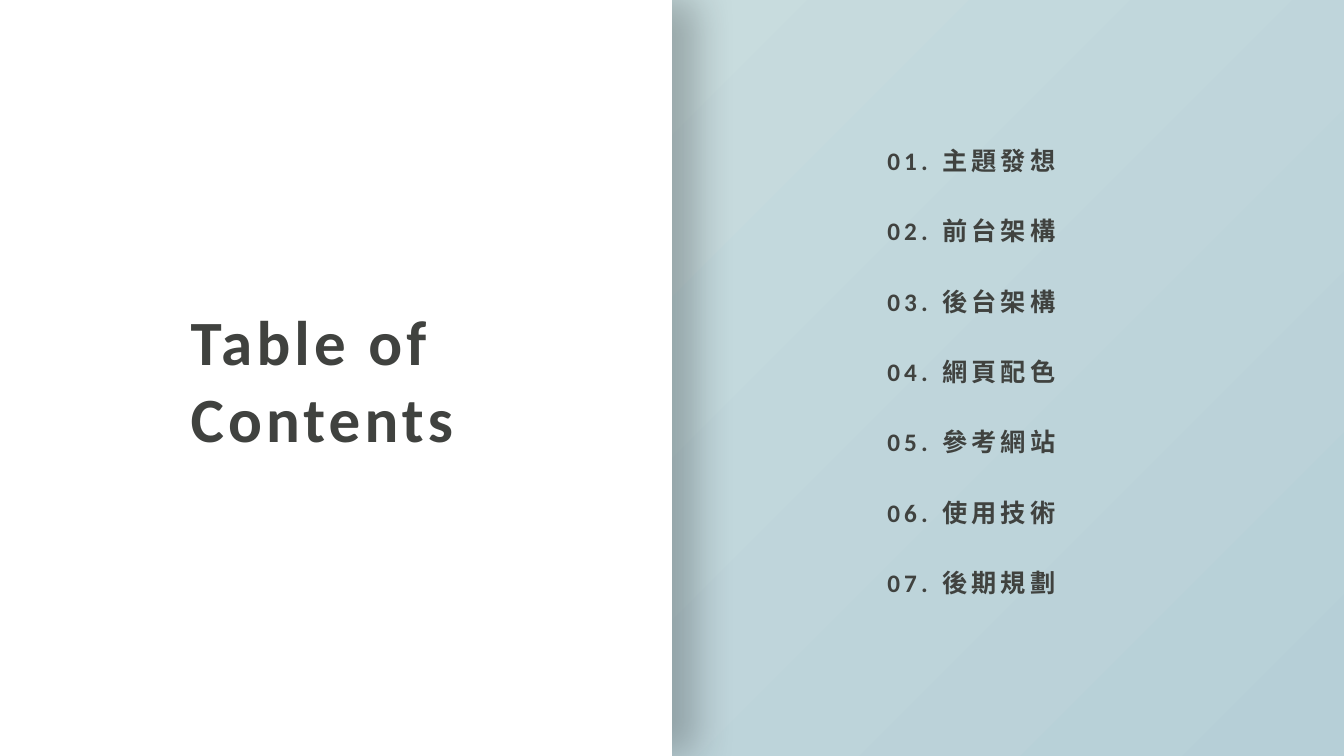
from dataclasses import dataclass

from lxml import etree
from pptx import Presentation, util as u
from pptx.dml import color as clr
from pptx.enum import shapes, text
from pptx.oxml import ns

COLORS = {
    "text": "40423F",
    "panel": "FFFFFF",
    "grad_start": "D1E2E2",
    "grad_end": "B6CFD7",
    "shadow": "000000",
}
FONT = "Calibri"
SLIDE_W, SLIDE_H = 13.33, 7.5
TOPICS = ["主題發想", "前台架構", "後台架構", "網頁配色", "參考網站", "使用技術", "後期規劃"]
TOPIC_PITCH = 50.3  # points from one topic line to the next


@dataclass(frozen=True)
class Box:
    left: float
    top: float
    width: float
    height: float


BACKDROP = Box(0, 0, SLIDE_W, SLIDE_H)
PANEL = Box(0, 0, SLIDE_W / 2, SLIDE_H)
TITLE = Box(1.79, 2.93, 3.67, 1.64)
LIST = Box(8.7, 1.04, 3.06, 4.9)


def rgb(name: str) -> clr.RGBColor:
    return clr.RGBColor.from_string(COLORS[name])


def place(sp, box: Box) -> None:
    sp.left, sp.top = u.Inches(box.left), u.Inches(box.top)
    sp.width, sp.height = u.Inches(box.width), u.Inches(box.height)


def add_rect(s, box: Box):
    sp = s.shapes.add_shape(shapes.MSO_SHAPE.RECTANGLE, 0, 0, 0, 0)
    place(sp, box)
    sp.shadow.inherit = False
    sp.line.fill.background()
    return sp


def add_shadow(sp, *, blur: float, distance: float, opacity: int) -> None:
    """Cast a soft shadow to the right; lengths in points, opacity in percent."""
    effects = sp._element.spPr.find(ns.qn("a:effectLst"))
    shadow = etree.SubElement(
        effects, ns.qn("a:outerShdw"), blurRad=str(u.Pt(blur)),
        dist=str(u.Pt(distance)), dir="0", algn="l", rotWithShape="0")
    tint = etree.SubElement(shadow, ns.qn("a:srgbClr"), val=COLORS["shadow"])
    etree.SubElement(tint, ns.qn("a:alpha"), val=str(opacity * 1000))


def fill_placeholder(sp, box: Box, lines: list[str], *, size: float, pitch: float,
                     anchor, inset_y: float) -> None:
    """Write one unbulleted paragraph per line, at a fixed line pitch in points."""
    place(sp, box)
    tf = sp.text_frame
    tf.text = "\n".join(lines)
    tf.word_wrap = True
    tf.auto_size = text.MSO_AUTO_SIZE.NONE
    tf.vertical_anchor = anchor
    tf.margin_top = tf.margin_bottom = u.Inches(inset_y)
    for p in tf.paragraphs:
        p.alignment = text.PP_ALIGN.LEFT
        p.line_spacing = u.Pt(pitch)
        p.space_before = u.Pt(0)
        pPr = p._p.get_or_add_pPr()
        pPr.set("marL", "0")
        pPr.set("indent", "0")
        etree.SubElement(pPr, ns.qn("a:buNone"))
        r = p.runs[0]
        r.font.name, r.font.size, r.font.bold = FONT, u.Pt(size), True
        r.font.color.rgb = rgb("text")
        r._r.get_or_add_rPr().set("spc", "300")


def main() -> None:
    prs = Presentation()
    prs.slide_width, prs.slide_height = u.Inches(SLIDE_W), u.Inches(SLIDE_H)
    s = prs.slides.add_slide(prs.slide_layouts[1])
    title, body = s.placeholders

    backdrop = add_rect(s, BACKDROP)
    backdrop.fill.gradient()
    backdrop.fill.gradient_angle = 315
    for stop, name, position in zip(backdrop.fill.gradient_stops,
                                    ("grad_start", "grad_end"), (0, 1)):
        stop.color.rgb = rgb(name)
        stop.position = position

    panel = add_rect(s, PANEL)
    panel.fill.solid()
    panel.fill.fore_color.rgb = rgb("panel")
    add_shadow(panel, blur=29, distance=18, opacity=23)

    for sp in (title, body):  # bring the text in front of the panels
        s.shapes._spTree.append(sp._element)
    fill_placeholder(title, TITLE, ["Table of", "Contents"], size=45, pitch=55,
                     anchor=text.MSO_ANCHOR.MIDDLE, inset_y=0.05)
    topics = [f"{n:02}. {topic}" for n, topic in enumerate(TOPICS, 1)]
    fill_placeholder(body, LIST, topics, size=18, pitch=TOPIC_PITCH,
                     anchor=text.MSO_ANCHOR.TOP, inset_y=0)
    prs.save("out.pptx")


if __name__ == "__main__":
    main()
